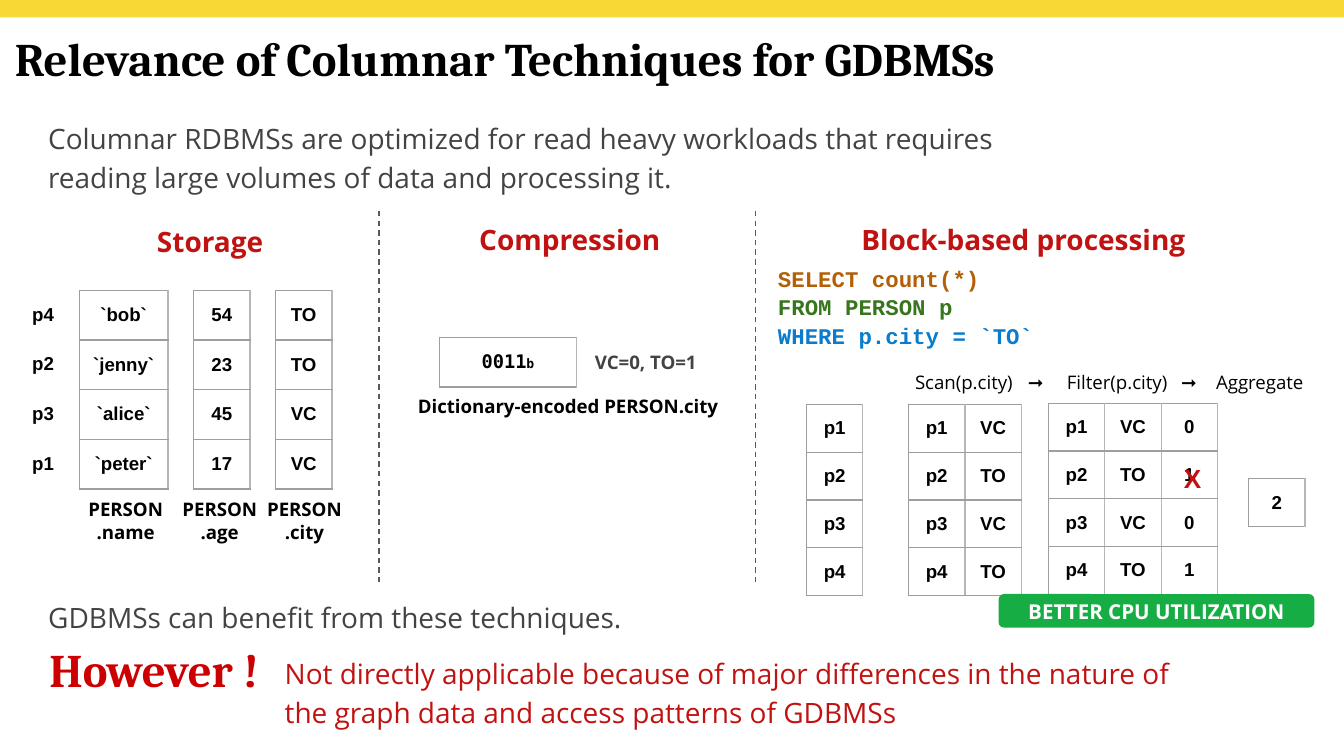
"""Build the slide on columnar techniques for graph database systems."""
from collections import namedtuple

import lxml.etree
import pptx
import pptx.dml.color
import pptx.enum.dml
import pptx.enum.shapes
import pptx.enum.text
import pptx.oxml
import pptx.oxml.ns
import pptx.util

Inches = pptx.util.Inches
Pt = pptx.util.Pt
RGBColor = pptx.dml.color.RGBColor
qn = pptx.oxml.ns.qn
ALIGN = pptx.enum.text.PP_ALIGN
ANCHOR = pptx.enum.text.MSO_ANCHOR
SHAPE = pptx.enum.shapes.MSO_SHAPE

BLACK = RGBColor(0x00, 0x00, 0x00)
WHITE = RGBColor(0xFF, 0xFF, 0xFF)
GREY = RGBColor(0x43, 0x43, 0x43)
DIVIDER_GREY = RGBColor(0x59, 0x59, 0x59)
OUTER_GREY = RGBColor(0x9E, 0x9E, 0x9E)
INNER_GREY = RGBColor(0xB7, 0xB7, 0xB7)
RED = RGBColor(0xC1, 0x12, 0x12)
ALERT_RED = RGBColor(0xCC, 0x00, 0x00)
YELLOW = RGBColor(0xF7, 0xD8, 0x34)
GREEN = RGBColor(0x17, 0xAD, 0x45)
SELECT_BROWN = RGBColor(0xB4, 0x5F, 0x06)
FROM_GREEN = RGBColor(0x38, 0x76, 0x1D)
WHERE_BLUE = RGBColor(0x0B, 0x7B, 0xCB)

Style = namedtuple("Style", "face size color bold")
TITLE = Style("Cambria", 25, BLACK, True)
ALERT = Style("Cambria", 25, ALERT_RED, True)
STATEMENT = Style("Open Sans", 15, GREY, False)
WARNING = Style("Open Sans", 15, RED, False)
HEADING = Style("Open Sans", 15, RED, True)
CAPTION = Style("Open Sans", 10, BLACK, True)
LEGEND = Style("Open Sans", 10, GREY, True)
STEP = Style("Open Sans", 10, BLACK, False)
BADGE = Style("Open Sans", 11, WHITE, True)
VALUE = Style("Arial", 10, BLACK, True)
BITS = Style("DejaVu Sans Mono", 10, BLACK, True)
CROSS = Style("Arial", 14, RED, True)
CODE = Style("Courier New", 12, BLACK, True)


def apply_style(paragraph, style):
    """Set the paragraph's font from a style."""
    font = paragraph.font
    font.name, font.size, font.bold = style.face, Pt(style.size), style.bold
    font.color.rgb = style.color


def write(frame, text, style, align=ALIGN.LEFT, anchor=ANCHOR.TOP, top=0.1):
    """Fill a text frame with styled paragraphs, one per line of text."""
    frame.word_wrap = True
    frame.auto_size = pptx.enum.text.MSO_AUTO_SIZE.NONE
    frame.vertical_anchor = anchor
    frame.margin_left = frame.margin_right = frame.margin_bottom = Inches(0.1)
    frame.margin_top = Inches(top)
    frame.text = text
    for paragraph in frame.paragraphs:
        paragraph.alignment = align
        apply_style(paragraph, style)
    return frame


def add_label(slide, box, text, style, **layout):
    """Add a text box and return its frame."""
    textbox = slide.shapes.add_textbox(*map(Inches, box))
    return write(textbox.text_frame, text, style, **layout)


def add_statement(slide, box, text, style, align=ALIGN.LEFT):
    """Add a sentence or heading with open line spacing."""
    sentence = add_label(slide, box, text, style, align=align).paragraphs[0]
    sentence.line_spacing = 1.15
    sentence.space_after = Pt(10)


def add_caption(slide, box, text, style=CAPTION):
    """Add a centred caption."""
    add_label(slide, box, text, style, align=ALIGN.CENTER, anchor=ANCHOR.MIDDLE, top=0.08)


def add_block(slide, shape_kind, box, color):
    """Add a filled shape without outline."""
    block = slide.shapes.add_shape(shape_kind, *map(Inches, box))
    block.shadow.inherit = False
    block.fill.solid()
    block.fill.fore_color.rgb = color
    block.line.fill.background()
    return block


def add_border(cell, side, color):
    """Draw one border of a table cell."""
    edge = lxml.etree.SubElement(cell._tc.get_or_add_tcPr(), qn(f"a:ln{side}"), w=str(Pt(0.75)))
    fill = lxml.etree.SubElement(edge, qn("a:solidFill"))
    lxml.etree.SubElement(fill, qn("a:srgbClr"), val=str(color))


def add_grid(slide, left, top, col_width, row_height, rows, style=VALUE):
    """Add a bordered table of centred values."""
    n_cols = len(rows[0])
    size = (n_cols * col_width, len(rows) * row_height)
    grid = slide.shapes.add_table(len(rows), n_cols, *map(Inches, (left, top, *size))).table
    grid.first_row = grid.horz_banding = False
    for column in grid.columns:
        column.width = Inches(col_width)
    for r, values in enumerate(rows):
        grid.rows[r].height = Inches(row_height)
        for c, value in enumerate(values):
            cell = grid.cell(r, c)
            cell.margin_left = cell.margin_right = Inches(0.1)
            cell.margin_top = cell.margin_bottom = Inches(0.1)
            cell.vertical_anchor = ANCHOR.MIDDLE
            cell.text = value
            cell.text_frame.paragraphs[0].alignment = ALIGN.CENTER
            apply_style(cell.text_frame.paragraphs[0], style)
            add_border(cell, "L", INNER_GREY if c else OUTER_GREY)
            add_border(cell, "R", INNER_GREY)
            add_border(cell, "T", OUTER_GREY)
            add_border(cell, "B", OUTER_GREY)
            cell.fill.background()
    return grid


def add_divider(slide, x):
    """Add a dashed vertical line between two sections."""
    ends = map(Inches, (x, 1.57, x, 4.33))
    divider = slide.shapes.add_connector(pptx.enum.shapes.MSO_CONNECTOR.STRAIGHT, *ends)
    divider.line.color.rgb = DIVIDER_GREY
    divider.line.width = Pt(0.75)
    divider.line.dash_style = pptx.enum.dml.MSO_LINE.DASH
    lxml.etree.SubElement(divider._element.spPr, qn("a:effectLst"))


def add_storage(slide):
    """Add the column storage section."""
    add_statement(slide, (1.07, 1.53, 1.3, 0.52), "Storage", HEADING)
    columns = (
        (0.59, 0.66, ("`bob`", "`jenny`", "`alice`", "`peter`"), "name", 0.47),
        (1.44, 0.42, ("54", "23", "45", "17"), "age", 1.17),
        (2.05, 0.42, ("TO", "TO", "VC", "VC"), "city", 1.8),
    )
    for left, width, values, field, caption_left in columns:
        add_grid(slide, left, 2.16, width, 0.37, [(value,) for value in values])
        add_caption(slide, (caption_left, 3.67, 0.93, 0.43), f"PERSON\n.{field}")
    for row, person in enumerate(("p4", "p2", "p3", "p1")):
        add_label(slide, (0.06, 2.15 + 0.37 * row, 0.52, 0.37), person, VALUE, align=ALIGN.CENTER)


def add_compression(slide):
    """Add the dictionary encoding section."""
    add_statement(slide, (3.12, 1.52, 2.24, 0.52), "Compression", HEADING, ALIGN.CENTER)
    encoded = add_grid(slide, 3.27, 2.51, 1.02, 0.37, [("0011",)], BITS)
    binary_mark = encoded.cell(0, 0).text_frame.paragraphs[0].add_run()
    binary_mark.text = "b"
    binary_mark.font.size = Pt(7)
    add_caption(slide, (2.68, 2.82, 3.09, 0.43), "Dictionary-encoded PERSON.city")
    add_caption(slide, (4.27, 2.49, 1.07, 0.43), "VC=0, TO=1", LEGEND)


def add_pipeline(slide):
    """Add the query operators, set apart by tab stops."""
    steps = "\t".join(("Scan(p.city)", "➞", "Filter(p.city)", "➞", "Aggregate"))
    frame = add_label(slide, (6.71, 2.64, 3.25, 0.43), steps, STEP, anchor=ANCHOR.MIDDLE, top=0.08)
    stops = lxml.etree.Element(qn("a:tabLst"))
    frame.paragraphs[0]._p.get_or_add_pPr().insert(0, stops)
    for position in (0.84, 1.13, 1.98, 2.24):
        lxml.etree.SubElement(stops, qn("a:tab"), pos=str(Inches(position)), algn="l")


def add_processing(slide):
    """Add the block-based processing section."""
    add_statement(slide, (6.07, 1.52, 3.09, 0.52), "Block-based processing", HEADING, ALIGN.CENTER)
    query = "SELECT count(*)\nFROM PERSON p\nWHERE p.city = `TO`"
    clauses = add_label(slide, (5.69, 1.87, 2.64, 0.86), query, CODE).paragraphs
    for clause, color in zip(clauses, (SELECT_BROWN, FROM_GREEN, WHERE_BLUE)):
        clause.font.color.rgb = color
    for clause in clauses[1:]:
        clause.space_before = Pt(1)
    add_pipeline(slide)
    matches = [("p1", "VC", "0"), ("p2", "TO", "1"), ("p3", "VC", "0"), ("p4", "TO", "1")]
    for left, top, shown in ((6, 3.01, 1), (6.76, 3.01, 2), (7.8, 3, 3)):
        add_grid(slide, left, top, 0.42, 0.33, [row[:shown] for row in matches])
    add_grid(slide, 9.29, 3.56, 0.42, 0.36, [("2",)])
    add_label(slide, (8.71, 3.34, 0.42, 0.44), "X", CROSS)
    badge = add_block(slide, SHAPE.ROUNDED_RECTANGLE, (7.43, 4.42, 2.35, 0.25), GREEN)
    write(badge.text_frame, "BETTER CPU UTILIZATION", BADGE, ALIGN.CENTER, ANCHOR.MIDDLE)


def main():
    """Build and save the slide."""
    deck = pptx.Presentation()
    deck.slide_width = Inches(10)
    deck.slide_height = deck.slide_width * 9 // 16
    slide = deck.slides.add_slide(deck.slide_layouts[5])
    add_block(slide, SHAPE.RECTANGLE, (0, 0, 10, 0.13), YELLOW)
    title = slide.shapes.title
    title.left, title.top, title.width, title.height = map(Inches, (0.01, 0.12, 7.73, 0.62))
    write(title.text_frame, "Relevance of Columnar Techniques for GDBMSs", TITLE)
    add_statement(slide, (0.26, 0.77, 7.51, 0.74), "Columnar RDBMSs are optimized for read heavy workloads "
                  "that requires reading large volumes of data and processing it.", STATEMENT)
    add_storage(slide)
    add_divider(slide, 2.82)
    add_compression(slide)
    add_divider(slide, 5.62)
    add_processing(slide)
    add_statement(slide, (0.26, 4.33, 4.61, 0.45), "GDBMSs can benefit from these techniques.", STATEMENT)
    add_label(slide, (0.27, 4.67, 1.83, 0.62), "However !", ALERT)
    add_statement(slide, (2.02, 4.75, 7.12, 0.74), "Not directly applicable because of major differences in the "
                  "nature of the graph data and access patterns of GDBMSs", WARNING)
    deck.save("out.pptx")


if __name__ == "__main__":
    main()
